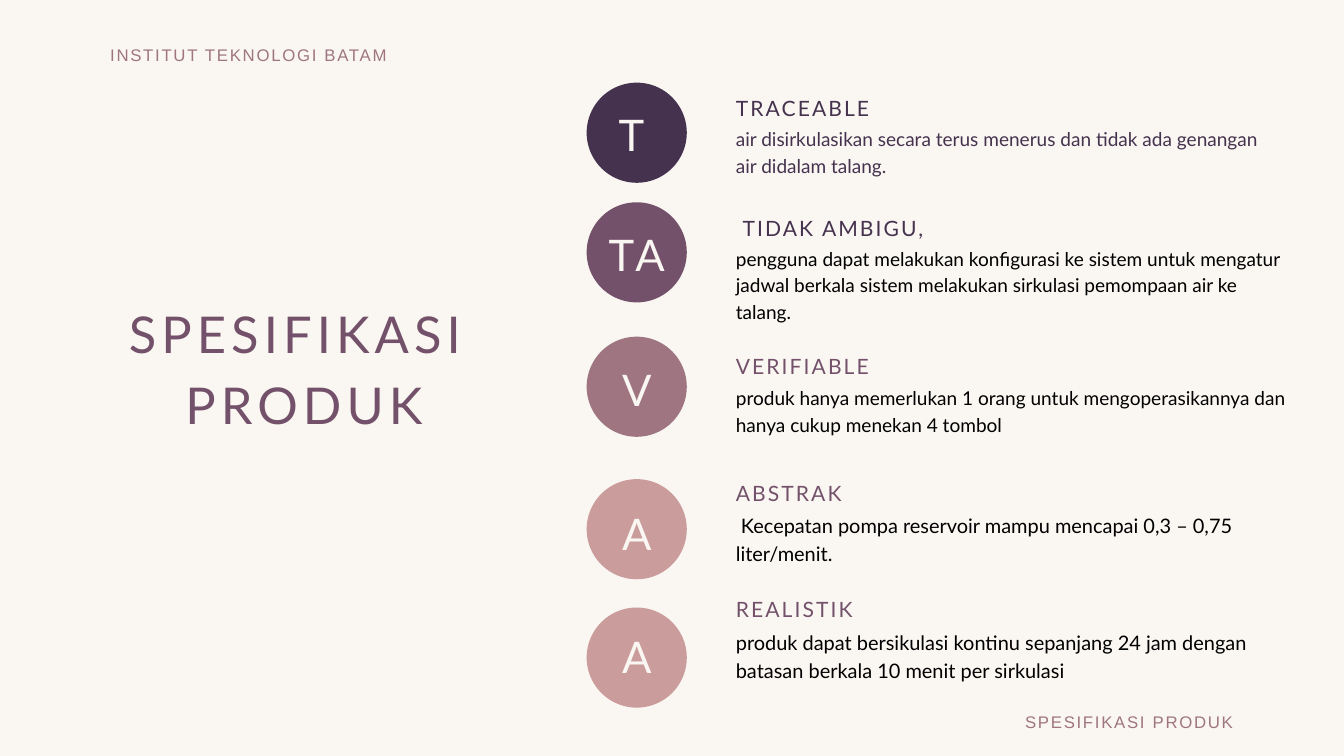
"""Build the product specification slide with five lettered criteria."""
from pptx import Presentation
from pptx.dml.color import RGBColor
from pptx.enum.shapes import MSO_SHAPE as SHAPE
from pptx.enum.text import PP_ALIGN as ALIGN
from pptx.util import Inches, Pt

CREAM = RGBColor(0xFA, 0xF7, 0xF2)
DARK = RGBColor(0x45, 0x32, 0x4E)
PLUM = RGBColor(0x73, 0x51, 0x6A)
MAUVE = RGBColor(0x9F, 0x75, 0x82)
ROSE = RGBColor(0xCB, 0x9C, 0x9C)
BLACK = RGBColor(0, 0, 0)

prs = Presentation()
prs.slide_width, prs.slide_height = Inches(20), Inches(11.25)
COL, ROW = prs.slide_width / 20, prs.slide_height / 11.25
s = prs.slides.add_slide(prs.slide_layouts[6])
s.background.fill.solid()
s.background.fill.fore_color.rgb = CREAM


def grid(x, y, w, h):
    return int(x * COL), int(y * ROW), int(w * COL), int(h * ROW)


def add_text(place, lines, size, color, align=ALIGN.LEFT, font="Lato", spaced=True):
    tf = s.shapes.add_textbox(*grid(*place)).text_frame
    tf.word_wrap = True
    tf.margin_left = tf.margin_top = tf.margin_right = tf.margin_bottom = 0
    for i, line in enumerate(lines):
        p = tf.paragraphs[0] if i == 0 else tf.add_paragraph()
        p.alignment = align
        p.line_spacing = Pt(round(size * 1.4, 1))
        r = p.add_run()
        r.text = line
        r.font.name, r.font.size = font, Pt(size)
        r.font.color.rgb = color
        if spaced:
            r._r.get_or_add_rPr().set("spc", str(round(size * 10)))


DISC, DISC_X, LETTER_X, TEXT_X = 1.49, 8.73, 8.93, 10.95

criteria = [
    (1.23, DARK, "T", 8.85, 1.48, "TRACEABLE", DARK, 1.36,
     "air disirkulasikan secara terus menerus dan tidak ada genangan air didalam talang.",
     DARK, 20.4, 1.84, 7.92),
    (3.01, PLUM, "TA", LETTER_X, 3.27, " TIDAK AMBIGU,", DARK, 3.14,
     "pengguna dapat melakukan konfigurasi ke sistem untuk mengatur jadwal berkala "
     "sistem melakukan sirkulasi pemompaan air ke talang.",
     BLACK, 20.4, 3.62, 8.29),
    (5.01, MAUVE, "V", LETTER_X, 5.27, "VERIFIABLE", PLUM, 5.2,
     "produk hanya memerlukan 1 orang untuk mengoperasikannya dan hanya cukup menekan 4 tombol",
     BLACK, 20.4, 5.7, 8.29),
    (7.13, ROSE, "A", LETTER_X, 7.41, "ABSTRAK", PLUM, 7.09,
     " Kecepatan pompa reservoir mampu mencapai 0,3 – 0,75 liter/menit.",
     BLACK, 21.4, 7.58, 7.92),
    (9.04, ROSE, "A", LETTER_X, 9.25, "REALISTIK", PLUM, 8.81,
     "produk dapat bersikulasi kontinu sepanjang 24 jam dengan batasan berkala "
     "10 menit per sirkulasi",
     BLACK, 21.4, 9.33, 7.92),
]

for (disc_y, fill, letter, letter_x, letter_y, title, title_color, title_y,
     body, body_color, body_size, body_y, body_w) in criteria:
    sp = s.shapes.add_shape(SHAPE.OVAL, *grid(DISC_X, disc_y, DISC, DISC))
    sp.shadow.inherit = False
    sp.fill.solid()
    sp.fill.fore_color.rgb = fill
    sp.line.fill.background()
    add_text((letter_x, letter_y, 1.09, 0.88), [letter], 46.6, CREAM, ALIGN.CENTER)
    add_text((TEXT_X, title_y, 6.75, 0.42), [title], 22.6, title_color)
    add_text((TEXT_X, body_y, body_w, 0.79), [body], body_size, body_color, spaced=False)

add_text((1.64, 4.35, 5.77, 2.06), ["SPESIFIKASI ", "PRODUK"], 54.3, PLUM, ALIGN.CENTER)
add_text((1.64, 0.62, 7.75, 0.34), ["INSTITUT TEKNOLOGI BATAM"], 18, MAUVE, font="Arial")
add_text((10.6, 10.54, 7.75, 0.34), ["SPESIFIKASI PRODUK"], 18, MAUVE, ALIGN.RIGHT, "Arial")

prs.save("out.pptx")
